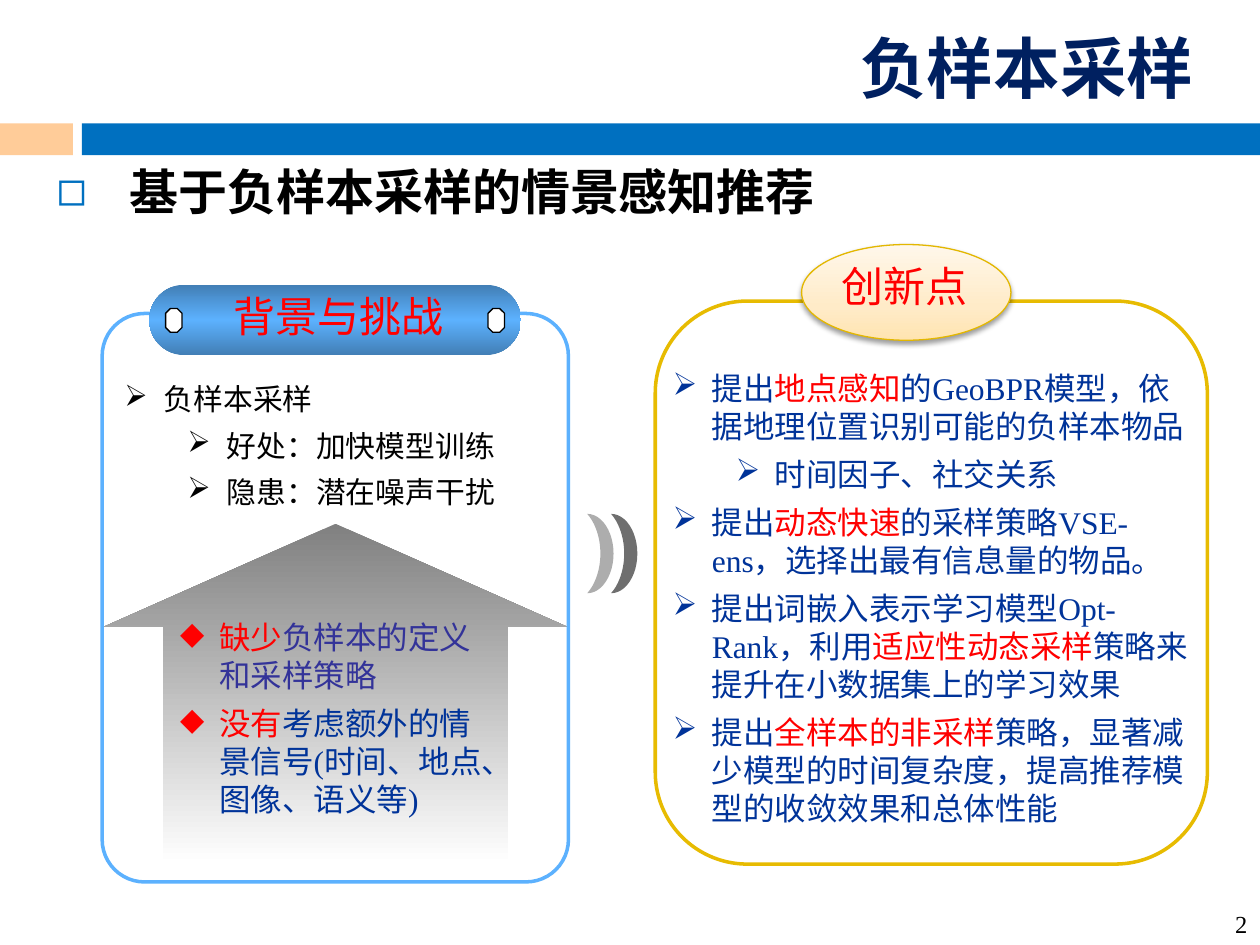
from lxml import etree
from pptx import Presentation
from pptx.dml.color import RGBColor
from pptx.enum.shapes import MSO_SHAPE
from pptx.enum.text import MSO_ANCHOR, MSO_AUTO_SIZE, PP_ALIGN
from pptx.oxml.ns import qn
from pptx.util import Cm, Pt

RECT, ROUND = MSO_SHAPE.RECTANGLE, MSO_SHAPE.ROUNDED_RECTANGLE
OVAL, OCTAGON = MSO_SHAPE.OVAL, MSO_SHAPE.OCTAGON
ARROW, MOON = MSO_SHAPE.UP_ARROW, MSO_SHAPE.MOON
LEFT, RIGHT, JUSTIFY = PP_ALIGN.LEFT, PP_ALIGN.RIGHT, PP_ALIGN.JUSTIFY
TOP, BOTTOM = MSO_ANCHOR.TOP, MSO_ANCHOR.BOTTOM
FIXED, GROW = MSO_AUTO_SIZE.NONE, MSO_AUTO_SIZE.SHAPE_TO_FIT_TEXT

FONT = "Times New Roman"
COLORS = {
    "bar": "0070C0", "peach": "FFCC99", "title": "002060", "white": "FFFFFF",
    "black": "000000", "red": "FF0000", "navy": "003399", "indigo": "333399",
    "gold": "E7BB01", "rim": "E3B700", "sky": "5CB1FE", "steel": "427FB6",
    "gray": "808080", "dark": "333333",
    "cream": "FFE4B1", "pale": "FFEBC8", "ivory": "FFF7EA",
}


def rgb(name):
    """Return the named colour."""
    return RGBColor.from_string(COLORS[name])


def add_sub(node, tag, **attrs):
    """Append a child element with the given attributes."""
    return etree.SubElement(node, qn(tag), {k: str(v) for k, v in attrs.items()})


def add_shape(slide, kind, box, fill=None, line=None, width=0.75, adj=()):
    """Add a flat preset shape; box is left, top, width, height in cm."""
    shape = slide.shapes.add_shape(kind, *map(Cm, box))
    shape.shadow.inherit = False
    for i, val in enumerate(adj):
        shape.adjustments[i] = val
    if fill:
        shape.fill.solid()
        shape.fill.fore_color.rgb = rgb(fill)
    else:
        shape.fill.background()
    if line:
        shape.line.color.rgb = rgb(line)
        shape.line.width = Pt(width)
    else:
        shape.line.fill.background()
    return shape


def set_grad(shape, stops, angle):
    """Replace the empty fill with a linear gradient."""
    props = shape.fill._xPr
    old = props.find(qn("a:noFill"))
    grad = etree.Element(qn("a:gradFill"), rotWithShape="1")
    stop_list = add_sub(grad, "a:gsLst")
    for pos, name in stops:
        stop = add_sub(stop_list, "a:gs", pos=pos * 1000)
        add_sub(stop, "a:srgbClr", val=COLORS[name])
    add_sub(grad, "a:lin", ang=angle * 60000, scaled=0)
    props.replace(old, grad)


def set_font(font, size, ink, bold=False):
    """Set the typeface, size, colour and weight."""
    font.name, font.size, font.bold = FONT, Pt(size), bold
    font.color.rgb = rgb(ink)


def set_bullet(para, mark, ink, left, hang):
    """Give a paragraph a hanging bullet."""
    props = para._p.get_or_add_pPr()
    props.set("marL", str(Cm(left)))
    props.set("indent", str(-Cm(hang)))
    color = add_sub(props, "a:buClr")
    add_sub(color, "a:srgbClr", val=COLORS[ink])
    add_sub(props, "a:buChar", char=mark)


def add_text(slide, box, text, size, ink, align=LEFT, anchor=TOP, wrap=False):
    """Add a one-line label."""
    frame = slide.shapes.add_textbox(*map(Cm, box)).text_frame
    frame.word_wrap, frame.auto_size = wrap, FIXED if wrap else GROW
    frame.vertical_anchor = anchor
    para = frame.paragraphs[0]
    para.text, para.alignment = text, align
    set_font(para.font, size, ink)


def add_list(slide, box, items, size, mark, tint=None, align=LEFT):
    """Add a bulleted list; stars enclose red words in each item."""
    frame = slide.shapes.add_textbox(*map(Cm, box)).text_frame
    frame.word_wrap, frame.auto_size = True, GROW
    for i, (text, level, ink) in enumerate(items):
        para = frame.add_paragraph() if i else frame.paragraphs[0]
        para.level, para.alignment = level, align
        set_bullet(para, mark, tint or ink, 0.79 + 1.27 * level, 0.79)
        para.space_before = Pt(6)
        set_font(para.font, size, ink)
        for j, part in enumerate(text.split("*")):
            if part:
                run = para.add_run()
                run.text = part
                run.font.color.rgb = rgb("red" if j % 2 else ink)


def put_holder(holder, box, text, size, ink, anchor, align):
    """Move and format a bold template placeholder and return its paragraph."""
    holder.left, holder.top, holder.width, holder.height = map(Cm, box)
    frame = holder.text_frame
    frame.auto_size, frame.vertical_anchor = FIXED, anchor
    para = frame.paragraphs[0]
    para.text, para.alignment = text, align
    set_font(para.font, size, ink, True)
    return para


def draw_head(slide, x, y, w):
    """Place the title, the two-tone band and the topic line."""
    add_shape(slide, RECT, (x + 1.65, y + 2.49, w - 1.65, 0.64), "bar")
    add_shape(slide, RECT, (x, y + 2.49, 1.47, 0.64), "peach")
    put_holder(slide.shapes.title, (x + 10.9, y + 0.81, 13.41, 1.47),
               "负样本采样", 38, "title", BOTTOM, RIGHT)
    body = slide.placeholders[1]
    set_bullet(body.text_frame.paragraphs[0], "◻", "bar", 1.47, 1.47)
    put_holder(body, (x + 0.89, y + 3.12, 24.18, 1.45),
               "基于负样本采样的情景感知推荐", 28, "black", TOP, LEFT)


def draw_needs(slide, x, y, w, h):
    """Place the panel of background and challenges."""
    arrow = add_shape(slide, ARROW, (x + 0.03, y + 4.24, w - 0.05, 6.86),
                      adj=(0.743, 0.303))
    set_grad(arrow, ((0, "gray"), (100, "white")), 90)
    add_shape(slide, ROUND, (x, y, w, h), None, "sky", 2, (0.091,))
    left, top, wide, high = x + 0.95, y - 0.58, 7.49, 1.42
    badge = add_shape(slide, ROUND, (left, top, wide, high), adj=(0.5,))
    set_grad(badge, ((0, "steel"), (50, "sky"), (100, "steel")), 90)
    for gap in (0.33, wide - 0.66):
        add_shape(slide, OCTAGON, (left + gap, top + 0.48, 0.33, 0.48),
                  "white", "black", adj=(0.293,))
    add_text(slide, (x + 2.39, top, 4.78, 1.27), "背景与挑战", 24, "red")
    add_list(slide, (x + 0.2, y + 1.24, 8.84, 2.87), (
        ("负样本采样", 0, "black"),
        ("好处：加快模型训练", 1, "black"),
        ("隐患：潜在噪声干扰", 1, "black"),
    ), 17, "➢", align=JUSTIFY)
    add_list(slide, (x + 1.32, y + 6.02, 6.6, 4.32), (
        ("*缺少*负样本的定义和采样策略", 0, "indigo"),
        ("*没有*考虑额外的情景信号(时间、地点、图像、语义等)", 0, "navy"),
    ), 18, "◆", "red")


def draw_moons(slide, x, y, w, h):
    """Place the two crescents that lead to the right."""
    for i, alpha in enumerate((40, 70)):
        moon = add_shape(slide, MOON, (x + 0.48 * i, y, w, h), "dark", adj=(0.5,))
        moon._element.spPr.find(qn("a:xfrm")).set("flipH", "1")
        color = moon._element.spPr.find(qn("a:solidFill"))[0]
        add_sub(color, "a:alpha", val=alpha * 1000)


def draw_ideas(slide, x, y, w, h):
    """Place the panel of innovations."""
    add_shape(slide, ROUND, (x, y, w, h), "white", "gold", 2)
    oval = add_shape(slide, OVAL, (x + 2.95, y - 1.14, 4.22, 1.93), line="rim")
    set_grad(oval, ((0, "cream"), (35, "pale"), (100, "ivory")), 270)
    effects = oval._element.spPr.find(qn("a:effectLst"))
    shade = add_sub(effects, "a:outerShdw", blurRad=Pt(3.1), dist=Pt(1.6),
                    dir=5400000, rotWithShape=0)
    color = add_sub(shade, "a:srgbClr", val=COLORS["black"])
    add_sub(color, "a:alpha", val=38000)
    add_text(slide, (x + 3.51, y - 0.94, 3.07, 1.27), "创新点", 24, "red")
    add_list(slide, (x + 0.1, y + 1.24, w - 0.05, 9.58), (
        ("提出*地点感知*的GeoBPR模型，依据地理位置识别可能的负样本物品", 0, "navy"),
        ("时间因子、社交关系", 1, "navy"),
        ("提出*动态快速*的采样策略VSE-ens，选择出最有信息量的物品。", 0, "navy"),
        ("提出词嵌入表示学习模型Opt-Rank，利用*适应性动态采样*"
         "策略来提升在小数据集上的学习效果", 0, "navy"),
        ("提出*全样本的非采样*策略，显著减少模型的时间复杂度，"
         "提高推荐模型的收敛效果和总体性能", 0, "navy"),
    ), 18, "➢")


def main():
    """Build and save the slide."""
    deck = Presentation()
    deck.slide_width, deck.slide_height = Cm(25.4), Cm(19.05)
    slide = deck.slides.add_slide(deck.slide_layouts[1])
    draw_head(slide, 0, 0, 25.4)
    draw_ideas(slide, 13.21, 6.07, 11.13, 11.35)
    draw_needs(slide, 2.06, 6.32, 9.4, 11.46)
    draw_moons(slide, 11.84, 10.36, 0.53, 1.6)
    add_text(slide, (20.12, 17.78, 5.28, 1.27), "2", 14, "black", RIGHT, BOTTOM, True)
    deck.save("out.pptx")


if __name__ == "__main__":
    main()
